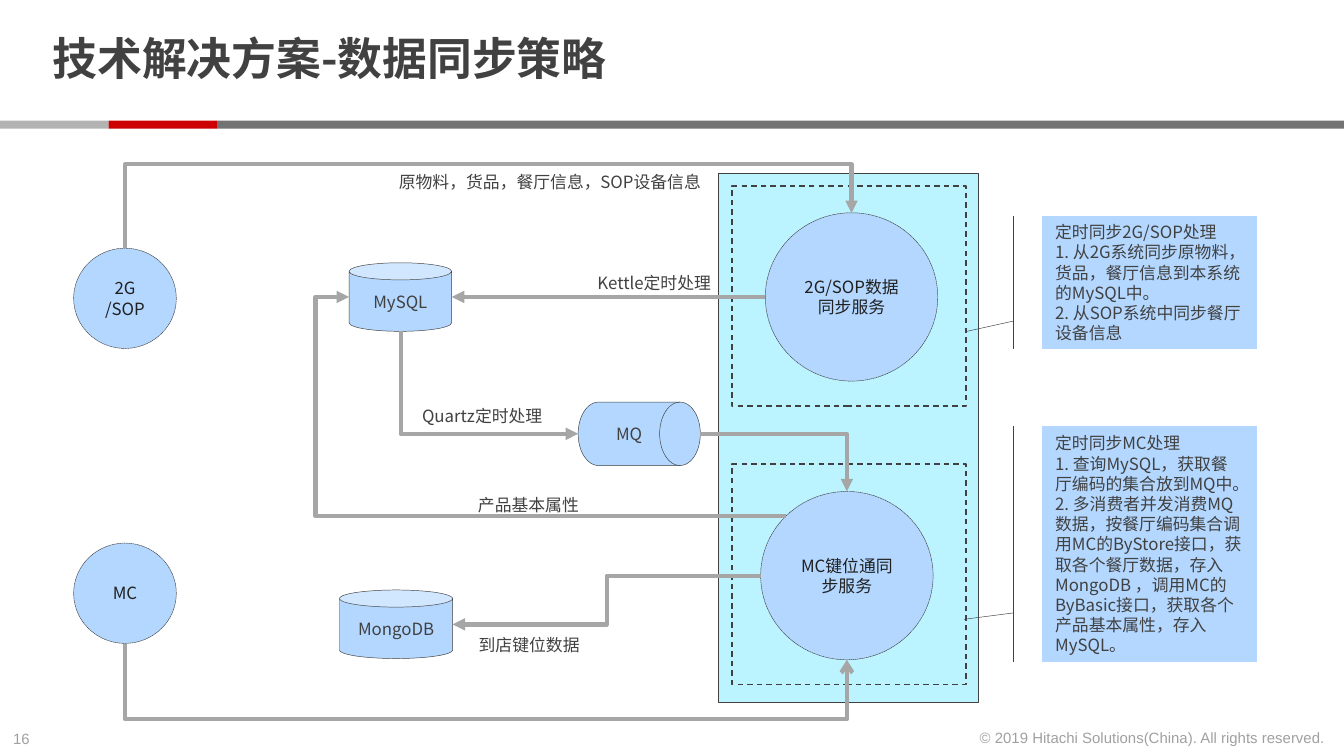
import pptx
import pptx.util
import pptx.dml.color
import pptx.enum.dml
import pptx.enum.shapes
import pptx.enum.text
import pptx.oxml.ns
from lxml import etree

Pt = pptx.util.Pt
RGBColor = pptx.dml.color.RGBColor
SHAPE = pptx.enum.shapes.MSO_SHAPE
CONNECTOR = pptx.enum.shapes.MSO_CONNECTOR
DASH = pptx.enum.dml.MSO_LINE
ALIGN = pptx.enum.text.PP_ALIGN
ANCHOR = pptx.enum.text.MSO_ANCHOR
qn = pptx.oxml.ns.qn

INK = RGBColor(0x41, 0x41, 0x41)
DARK = RGBColor(0x20, 0x20, 0x20)
FOOTER = RGBColor(0xA0, 0xA0, 0xA0)
ARROW = RGBColor(0xA6, 0xA6, 0xA6)
BLUE = RGBColor(0xB3, 0xD7, 0xFF)
CYAN = RGBColor(0xBB, 0xF4, 0xFF)
RED = RGBColor(0xCC, 0x00, 0x00)
LIGHT_GREY = RGBColor(0xB3, 0xB3, 0xB3)
MID_GREY = RGBColor(0x73, 0x73, 0x73)
CJK = "Noto Sans CJK SC"

# Every frame is (left, top, width, height) in points.
TITLE = ("技术解决方案-数据同步策略", (21, 4, 555, 58))
BAND = [(0, 58.2, LIGHT_GREY), (58.2, 58.2, RED), (116.4, 603.6, MID_GREY)]
BAND_TOP, BAND_HEIGHT = 64.6, 4.3
PANEL = (384.7, 92.9, 139.5, 283.2)
SERVICE_FRAMES = [(392.2, 99.6, 125.3, 118), (392.2, 248.6, 125.3, 118)]

CIRCLES = [
    (["2G", "/SOP"], (39.5, 133, 55, 53.7)),
    (["MC"], (39.5, 291, 55, 53.7)),
    (["2G/SOP数据同步服务"], (410, 114, 92.4, 90.2)),
    (["MC键位通同步服务"], (407.5, 263.3, 92.4, 90.2)),
]
STORES = [
    ("MySQL", SHAPE.CAN, (187, 140.8, 55, 36.7)),
    ("MongoDB", SHAPE.CAN, (181.9, 316.1, 60.6, 36.7)),
    ("MQ", SHAPE.FLOWCHART_DIRECT_ACCESS_STORAGE, (309.7, 215.4, 65.5, 34)),
]
CALLOUTS = [
    (["定时同步2G/SOP处理",
      "1. 从2G系统同步原物料，货品，餐厅信息到本系统的MySQL中。",
      "2. 从SOP系统中同步餐厅设备信息"],
     (558.2, 115.7, 115.2, 71.2), (0.792, -0.135, 0.87, -0.353)),
    (["定时同步MC处理",
      "1. 查询MySQL，获取餐厅编码的集合放到MQ中。",
      "2. 多消费者并发消费MQ数据，按餐厅编码集合调用MC的ByStore接口，获取各个餐厅数据，"
      "存入MongoDB ，调用MC的ByBasic接口，获取各个产品基本属性，存入MySQL。"],
     (558.2, 228.4, 115.2, 126.3), (0.792, -0.135, 0.819, -0.363)),
]
LABELS = [
    ("原物料，货品，餐厅信息，SOP设备信息", (206.6, 88.6, 178, 18)),
    ("Kettle定时处理", (313, 142.5, 76, 18)),
    ("Quartz定时处理", (219, 213.8, 79, 18)),
    ("产品基本属性", (249, 261.2, 72, 18)),
    ("到店键位数据", (249.4, 336.4, 72, 18)),
]
# start, end, bends, rotation, flips, adjustments, arrowhead
ELBOWS = [
    ((67, 344.8), (453.7, 353.5), 3, 270, "H", [4.65], "arrow"),
    ((67, 133), (456.2, 114.2), 3, 90, "HV", [2.39], "triangle"),
    ((214.6, 177.5), (309.7, 232.4), 2, 270, "H", [], "triangle"),
    ((375.2, 232.4), (453.7, 263.3), 2, 0, "", [], "triangle"),
    ((407.5, 308.4), (242.5, 334.5), 3, 180, "V", [0.5], "triangle"),
    ((421.2, 276.3), (187, 159.1), 4, 270, "V", [0, 1.077], "triangle"),
]
KETTLE_LINE = ((410, 159.1), (242, 159.1))
FOOTERS = [
    ("16", (0, 387.2, 30, 17), ALIGN.LEFT),
    ("© 2019 Hitachi Solutions(China). All rights reserved.",
     (506, 387, 211, 17), ALIGN.RIGHT),
]


def points(values):
    return [Pt(value) for value in values]


def write(shape, lines, size=9, color=INK, font=CJK, align=ALIGN.LEFT,
          anchor=ANCHOR.MIDDLE, bold=False):
    frame = shape.text_frame
    frame.word_wrap = True
    frame.vertical_anchor = anchor
    frame.text = "\n".join(lines)
    for para in frame.paragraphs:
        para.alignment = align
        para.font.size = Pt(size)
        para.font.bold = bold
        para.font.color.rgb = color
        para.font.name = font
        properties = para._p.pPr.find(qn("a:defRPr"))
        etree.SubElement(properties, qn("a:ea"), typeface=CJK)


def add_box(page, kind, frame, fill=None, line=INK, weight=0.25, dash=None):
    box = page.shapes.add_shape(kind, *points(frame))
    box.shadow.inherit = False
    if fill is None:
        box.fill.background()
    else:
        box.fill.solid()
        box.fill.fore_color.rgb = fill
    if line is None:
        box.line.fill.background()
    else:
        box.line.color.rgb = line
        box.line.width = Pt(weight)
        if dash is not None:
            box.line.dash_style = dash
    return box


def add_label(page, text, frame, **style):
    label = page.shapes.add_textbox(*points(frame))
    write(label, [text], **style)
    return label


def add_arrow(page, kind, start, end, head="triangle"):
    arrow = page.shapes.add_connector(kind, *points(start + end))
    arrow.line.color.rgb = ARROW
    arrow.line.width = Pt(2.25)
    etree.SubElement(arrow.line._get_or_add_ln(), qn("a:tailEnd"), type=head)
    etree.SubElement(arrow._element.spPr, qn("a:effectLst"))
    return arrow


def add_elbow(page, start, end, bends, rotation, flips, adjustments, head):
    """Centre the connector between its ends, then turn and flip it."""
    width, height = (abs(b - a) for a, b in zip(start, end))
    if rotation in (90, 270):
        width, height = height, width
    left = (start[0] + end[0] - width) / 2
    top = (start[1] + end[1] - height) / 2
    arrow = add_arrow(page, CONNECTOR.ELBOW, (left, top),
                      (left + width, top + height), head)
    transform = arrow._element.spPr.find(qn("a:xfrm"))
    transform.set("rot", str(rotation * 60000))
    for flip in flips:
        transform.set("flip" + flip, "1")
    geometry = arrow._element.spPr.find(qn("a:prstGeom"))
    geometry.set("prst", f"bentConnector{bends}")
    guides = geometry.find(qn("a:avLst"))
    for number, value in enumerate(adjustments, 1):
        etree.SubElement(guides, qn("a:gd"), name=f"adj{number}",
                         fmla=f"val {round(value * 100000)}")


def main():
    deck = pptx.Presentation()
    deck.slide_width, deck.slide_height = Pt(720), Pt(405)
    page = deck.slides.add_slide(deck.slide_layouts[6])

    for left, width, color in BAND:
        add_box(page, SHAPE.RECTANGLE, (left, BAND_TOP, width, BAND_HEIGHT), color, None)
    for text, frame, align in FOOTERS:
        add_label(page, text, frame, size=8, color=FOOTER, font="Arial",
                  align=align, anchor=ANCHOR.TOP)
    title = add_label(page, *TITLE, size=24, bold=True)
    title.text_frame.margin_top = title.text_frame.margin_bottom = 0
    title.text_frame.paragraphs[0].line_spacing = 0.85

    add_box(page, SHAPE.RECTANGLE, PANEL, CYAN)
    for lines, frame in CIRCLES:
        circle = add_box(page, SHAPE.OVAL, frame, BLUE, dash=DASH.SQUARE_DOT)
        write(circle, lines, color=DARK, align=ALIGN.CENTER)
    for name, kind, frame in STORES:
        write(add_box(page, kind, frame, BLUE), [name], align=ALIGN.CENTER)
    for frame in SERVICE_FRAMES:
        add_box(page, SHAPE.RECTANGLE, frame, weight=0.75, dash=DASH.DASH)
    for lines, frame, pointer in CALLOUTS:
        callout = add_box(page, SHAPE.LINE_CALLOUT_1_ACCENT_BAR, frame, BLUE)
        for index, value in enumerate(pointer):
            callout.adjustments[index] = value
        write(callout, lines)

    for elbow in ELBOWS:
        add_elbow(page, *elbow)
    add_arrow(page, CONNECTOR.STRAIGHT, *KETTLE_LINE)
    for text, frame in LABELS:
        add_label(page, text, frame, anchor=ANCHOR.TOP)
    deck.save("out.pptx")


if __name__ == "__main__":
    main()
